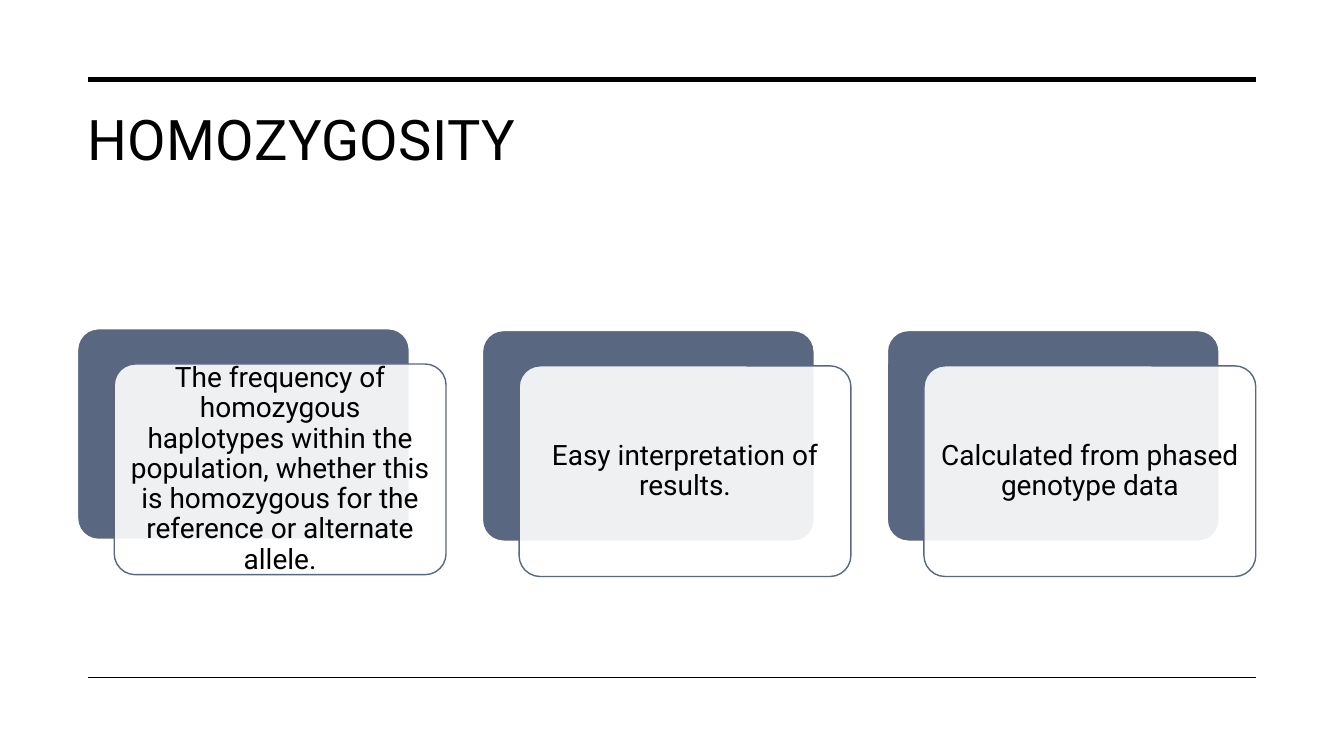
import pptx
import pptx.dml.color
import pptx.enum.shapes
import pptx.enum.text
import pptx.oxml.ns
import pptx.util
from lxml import etree

Pt = pptx.util.Pt
RGBColor = pptx.dml.color.RGBColor
ALIGN = pptx.enum.text.PP_ALIGN
ANCHOR = pptx.enum.text.MSO_ANCHOR
SHAPE = pptx.enum.shapes.MSO_SHAPE
qn = pptx.oxml.ns.qn

BLACK = RGBColor(0x00, 0x00, 0x00)
WHITE = RGBColor(0xFF, 0xFF, 0xFF)
SLATE = RGBColor(0x59, 0x67, 0x81)

CARD_WIDTH, CARD_HEIGHT = 237, 150.5
CARD_PITCH = 289.2
FRONT_SHIFT_X, FRONT_SHIFT_Y = 26.2, 25.2
RULE_LEFT, RULE_RIGHT = 63.2, 897.2


def write_text(frame, text, size=20, align=ALIGN.LEFT, anchor=ANCHOR.TOP,
               color=BLACK, font="Roboto", line_spacing=1.0, tracking=None):
    """Fill a text frame with one formatted paragraph."""
    frame.word_wrap = True
    frame.auto_size = pptx.enum.text.MSO_AUTO_SIZE.NONE
    frame.vertical_anchor = anchor
    paragraph = frame.paragraphs[0]
    paragraph.alignment = align
    paragraph.line_spacing = line_spacing
    run = paragraph.add_run()
    run.text = text
    run.font.size = Pt(size)
    run.font.name = font
    run.font.color.rgb = color
    if tracking is not None:
        run.font._element.set("spc", str(round(tracking * 100)))


class SlideBuilder:
    """Holds the current slide and its card style."""

    def __init__(self, slide, accent=SLATE, corner=0.1):
        self.slide = slide
        self.accent = accent
        self.corner = corner

    def title(self, text, left, top, width, height):
        heading = self.slide.shapes.title
        heading.left, heading.top = Pt(left), Pt(top)
        heading.width, heading.height = Pt(width), Pt(height)
        write_text(heading.text_frame, text, size=40, tracking=0.3)

    def rule(self, y, weight):
        rule = self.slide.shapes.add_connector(
            pptx.enum.shapes.MSO_CONNECTOR.STRAIGHT,
            Pt(RULE_LEFT), Pt(y), Pt(RULE_RIGHT), Pt(y))
        rule.line.color.rgb = BLACK
        rule.line.width = Pt(weight)
        etree.SubElement(rule._element.spPr, qn("a:effectLst"))

    def panel(self, left, top, fill, outline, opacity=100):
        panel = self.slide.shapes.add_shape(
            SHAPE.ROUNDED_RECTANGLE, Pt(left), Pt(top),
            Pt(CARD_WIDTH), Pt(CARD_HEIGHT))
        panel.adjustments[0] = self.corner
        panel.shadow.inherit = False
        panel.fill.solid()
        panel.fill.fore_color.rgb = fill
        panel.line.color.rgb = outline
        panel.line.width = Pt(1)
        if opacity < 100:
            color = panel._element.spPr.find(qn("a:solidFill"))[0]
            etree.SubElement(color, qn("a:alpha"), val=str(opacity * 1000))
        return panel

    def card(self, left, top, text):
        self.panel(left, top, self.accent, WHITE)
        front = self.panel(left + FRONT_SHIFT_X, top + FRONT_SHIFT_Y,
                           WHITE, self.accent, opacity=90)
        frame = front.text_frame
        frame.margin_left = frame.margin_right = Pt(6)
        frame.margin_top = frame.margin_bottom = Pt(6)
        write_text(frame, text, align=ALIGN.CENTER, anchor=ANCHOR.MIDDLE,
                   line_spacing=0.9)


def main():
    deck = pptx.Presentation()
    deck.slide_width, deck.slide_height = Pt(960), Pt(540)
    builder = SlideBuilder(deck.slides.add_slide(deck.slide_layouts[5]))

    # Heading between the rules
    builder.title("HOMOZYGOSITY", 55.4, 71.3, 841.7, 90.7)
    builder.rule(56.9, 3.5)
    builder.rule(483.8, 1)

    # Cards, the first a little higher than the others
    points = [
        (234.8, "The frequency of homozygous haplotypes within the population, "
                "whether this is homozygous for the reference or "
                "alternate allele."),
        (236.1, "Easy interpretation of results."),
        (236.1, "Calculated from phased genotype data"),
    ]
    for column, (top, point) in enumerate(points):
        builder.card(55.4 + column * CARD_PITCH, top, point)

    deck.save("out.pptx")


if __name__ == "__main__":
    main()
